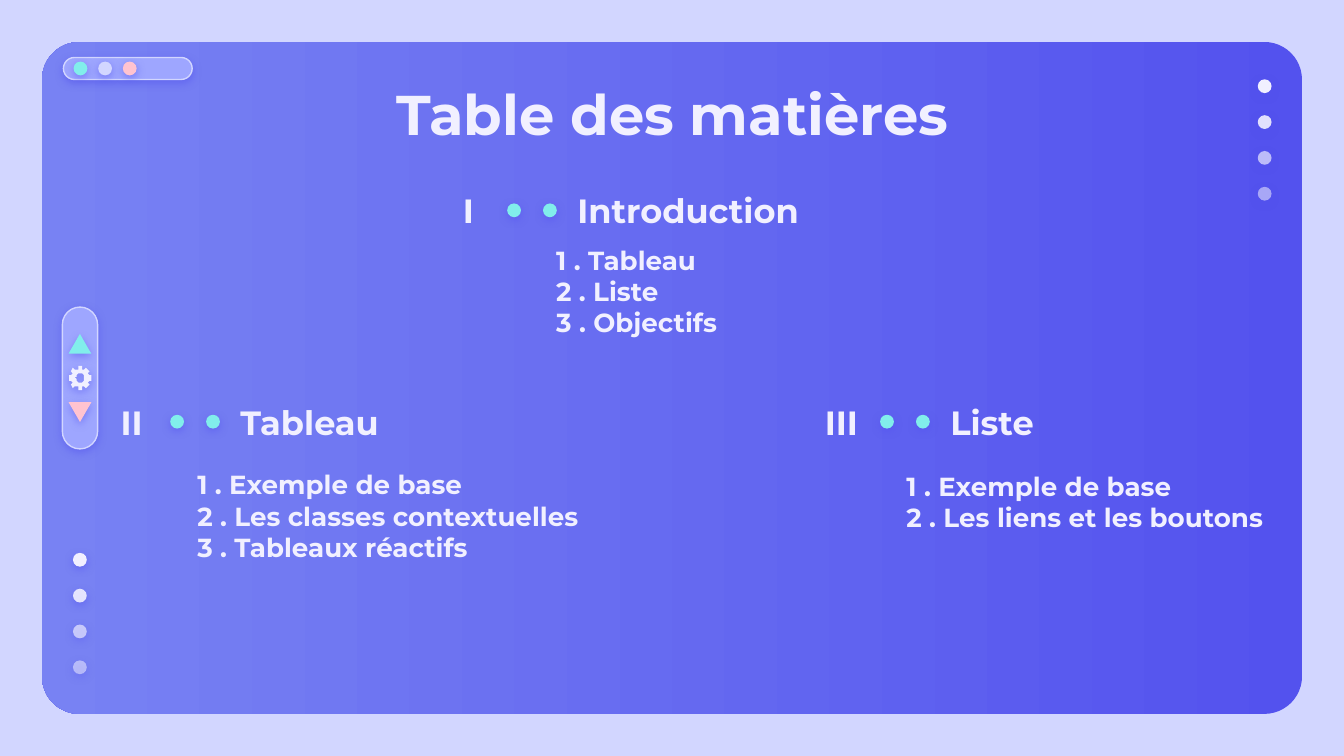
import math
import pptx
import pptx.util
import pptx.dml.color
import pptx.enum.shapes
import pptx.enum.text
import pptx.oxml
import pptx.oxml.ns

Pt = pptx.util.Pt
KIND = pptx.enum.shapes.MSO_SHAPE
ANCHOR = pptx.enum.text.MSO_ANCHOR
ALIGN = pptx.enum.text.PP_ALIGN

HUES = {
    "page": "D2D6FF", "deep": "5352EE", "light": "7882F3", "pill": "9EA6FF",
    "mint": "81EEEB", "pink": "FFC3D0", "white": "F1F0FF",
}
FONT = "Montserrat"
DOT = 7.4


def hue(name):
    return pptx.dml.color.RGBColor.from_string(HUES[name])


def glow(shape):
    """Give the shape a soft violet shadow below it."""
    shape.shadow.inherit = False
    effects = shape._element.spPr.find(pptx.oxml.ns.qn("a:effectLst"))
    effects.append(pptx.oxml.parse_xml(
        f'<a:outerShdw {pptx.oxml.ns.nsdecls("a")} blurRad="{Pt(4.5)}" dist="{Pt(1.5)}" '
        f'dir="5400000" algn="bl" rotWithShape="0"><a:srgbClr val="{HUES["deep"]}">'
        '<a:alpha val="50000"/></a:srgbClr></a:outerShdw>'))


def paint(shape, color, alpha=100):
    shape.fill.solid()
    shape.fill.fore_color.rgb = hue(color)
    shape.line.fill.background()
    if alpha < 100:
        tint = shape._element.spPr.find(".//" + pptx.oxml.ns.qn("a:srgbClr"))
        tint.append(pptx.oxml.parse_xml(
            f'<a:alpha {pptx.oxml.ns.nsdecls("a")} val="{alpha * 1000}"/>'))
    glow(shape)


def add(slide, kind, box, color, alpha=100):
    shape = slide.shapes.add_shape(kind, *map(Pt, box))
    paint(shape, color, alpha)
    return shape


def dot(slide, x, y, color, size=DOT, alpha=100):
    add(slide, KIND.OVAL, (x, y, size, size), color, alpha)


def pill(slide, box):
    shape = add(slide, KIND.ROUNDED_RECTANGLE, box, "pill")
    shape.adjustments[0] = 0.5
    shape.line.color.rgb = hue("page")
    shape.line.width = Pt(0.75)


def write(slide, box, text, size, align=ALIGN.LEFT, anchor=ANCHOR.MIDDLE):
    frame = slide.shapes.add_textbox(*map(Pt, box)).text_frame
    frame.word_wrap = True
    frame.vertical_anchor = anchor
    frame.margin_left = frame.margin_right = Pt(7.2)
    frame.margin_top = frame.margin_bottom = Pt(7.2)
    frame.text = text
    for para in frame.paragraphs:
        para.alignment = align
        for run in para.runs:
            run.font.name = FONT
            run.font.size = Pt(size)
            run.font.bold = True
            run.font.color.rgb = hue("white")


def panel(slide, box):
    shape = add(slide, KIND.ROUNDED_RECTANGLE, box, "deep")
    shape.adjustments[0] = 0.056
    shape.shadow.inherit = False
    effects = shape._element.spPr.find(pptx.oxml.ns.qn("a:effectLst"))
    for effect in list(effects):
        effects.remove(effect)
    shape.fill.gradient()
    shape.fill.gradient_angle = 180
    for stop, name in zip(shape.fill.gradient_stops, ("deep", "light")):
        stop.color.rgb = hue(name)


def window(slide, box):
    """Pill with three window buttons."""
    x, y, _, high = box
    pill(slide, box)
    for i, name in enumerate(("mint", "page", "pink")):
        dot(slide, x + 5.4 + 13.2 * i, y + (high - DOT) / 2, name)


def fade(slide, x, y):
    """Column of dots that fade downwards."""
    for i, alpha in enumerate((100, 90, 67, 54)):
        dot(slide, x, y + 19.2 * i, "white", alpha=alpha)


def gear(slide, x, y):
    """Gear with eight teeth and a round hole, centred on x, y."""
    def ring(polar):
        return [(x + r * math.cos(math.radians(a)), y + r * math.sin(math.radians(a)))
                for r, a in polar]

    teeth = ring((r, 45 * i + a) for i in range(8)
                 for r, a in ((4.8, -13), (6.2, -10), (6.2, 10), (4.8, 13)))
    hole = ring((2.4, -15 * i) for i in range(24))
    form = slide.shapes.build_freeform(*teeth[0], scale=Pt(1))
    form.add_line_segments(teeth[1:], close=True)
    form.move_to(*hole[0])
    form.add_line_segments(hole[1:], close=True)
    paint(form.convert_to_shape(), "white")


def scroll(slide, box):
    """Upright pill with two arrows around a gear."""
    x, y, wide, high = box
    mid, level = x + wide / 2, y + high / 2
    pill(slide, box)
    wing, rise = 12.2, 10.6
    add(slide, KIND.ISOSCELES_TRIANGLE,
        (mid - wing / 2, level - 23.6, wing, rise), "mint")
    down = add(slide, KIND.ISOSCELES_TRIANGLE,
               (mid - wing / 2, level + 13, wing, rise), "pink")
    down.rotation = 180
    gear(slide, mid, level)


def section(slide, x, y, number, title, body, lines):
    """Numeral, two dots and heading in a row, with the list in its own box."""
    write(slide, (x, y, 69, 19.4), number, 18, ALIGN.CENTER)
    for gap in (55.2, 74.4):
        dot(slide, x + gap, y + 6, "mint")
    write(slide, (x + 85.7, y, 181.4, 19.4), title, 18)
    write(slide, body, "\n".join(lines), 14)


def main():
    deck = pptx.Presentation()
    deck.slide_width, deck.slide_height = Pt(720), Pt(405)
    slide = deck.slides.add_slide(deck.slide_layouts[6])
    slide.background.fill.solid()
    slide.background.fill.fore_color.rgb = hue("page")

    # Frame and ornaments
    panel(slide, (22.5, 22.5, 675, 360))
    window(slide, (34, 30.8, 69, 11.8))
    fade(slide, 673.8, 42.5)
    fade(slide, 39.1, 296.2)
    scroll(slide, (33.4, 164.5, 18.9, 76))

    # Heading and sections
    write(slide, (56.7, 35.4, 607, 45), "Table des matières", 30,
          ALIGN.CENTER, ANCHOR.TOP)
    section(slide, 216.5, 103, "I", "Introduction", (290.9, 125.5, 147, 61),
            ("1 . Tableau", "2 . Liste", "3 . Objectifs"))
    section(slide, 36, 216.2, "II", "Tableau", (98.6, 238.5, 229, 75.6),
            ("1 . Exemple de base", "2 . Les classes contextuelles",
             "3 . Tableaux réactifs"))
    section(slide, 416.3, 216.2, "III", "Liste", (478.5, 242, 229, 53.3),
            ("1 . Exemple de base", "2 . Les liens et les boutons"))

    deck.save("out.pptx")


if __name__ == "__main__":
    main()
